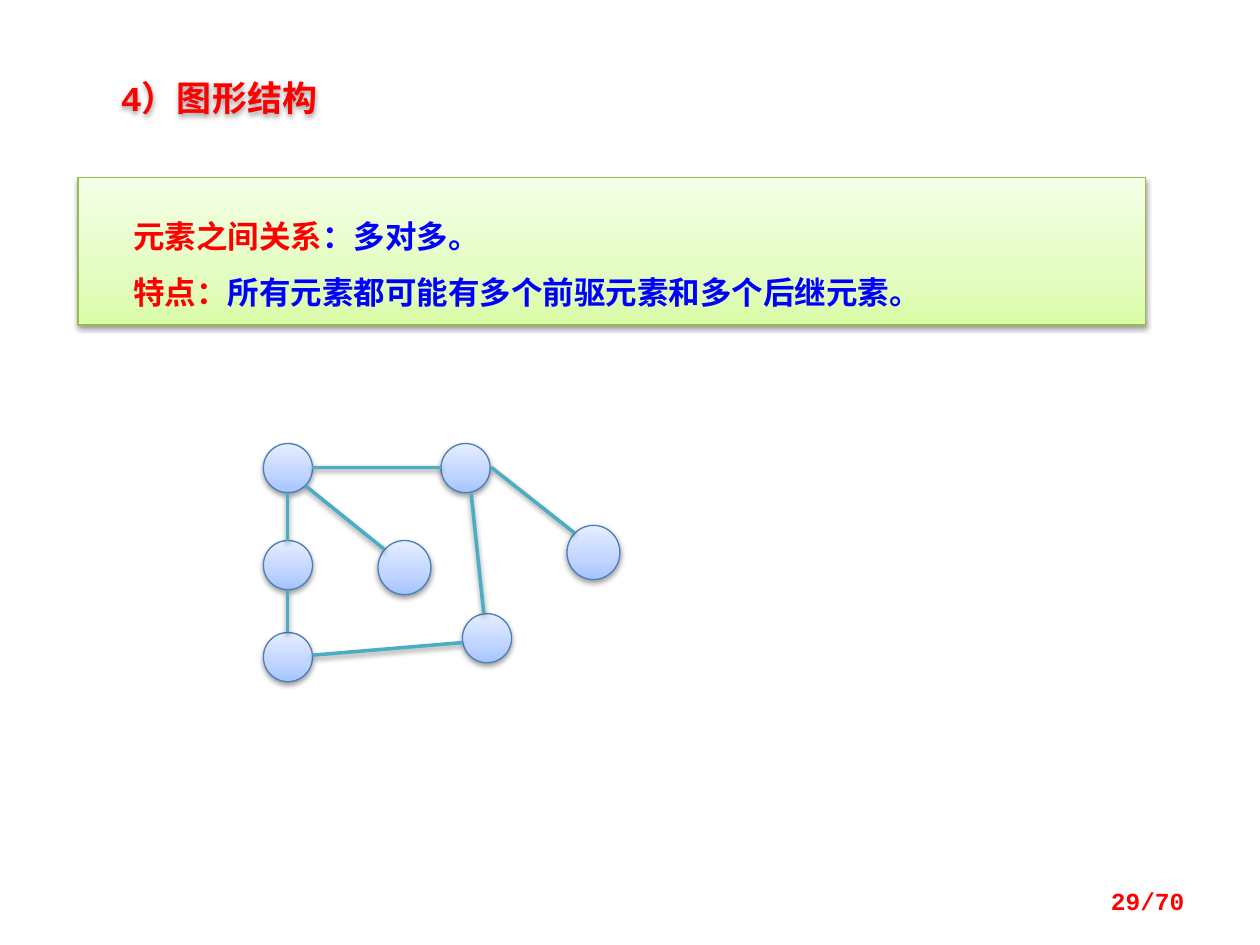
from copy import deepcopy

from lxml import etree
from pptx import Presentation
from pptx.dml.color import RGBColor
from pptx.enum.shapes import MSO_CONNECTOR, MSO_SHAPE
from pptx.enum.text import MSO_ANCHOR, MSO_AUTO_SIZE, PP_ALIGN
from pptx.oxml import parse_xml
from pptx.oxml.ns import nsdecls, qn
from pptx.util import Inches, Pt

RECTANGLE, OVAL = MSO_SHAPE.RECTANGLE, MSO_SHAPE.OVAL
STRAIGHT = MSO_CONNECTOR.STRAIGHT
TOP, MIDDLE = MSO_ANCHOR.TOP, MSO_ANCHOR.MIDDLE
LEFT, RIGHT, JUSTIFY = PP_ALIGN.LEFT, PP_ALIGN.RIGHT, PP_ALIGN.JUSTIFY
FIXED_SIZE = MSO_AUTO_SIZE.NONE

RED = RGBColor(0xFF, 0x00, 0x00)
BLUE = RGBColor(0x00, 0x00, 0xFF)
TEAL = RGBColor(0x4B, 0xAC, 0xC6)
PANEL_LINE = RGBColor(0x98, 0xB9, 0x55)
NODE_LINE = RGBColor(0x4B, 0x7E, 0xBC)
PANEL_FILL = (RGBColor(0xDA, 0xFD, 0xA7), RGBColor(0xE4, 0xFC, 0xC2), RGBColor(0xF5, 0xFF, 0xE7))
NODE_FILL = (RGBColor(0xA4, 0xC4, 0xFF), RGBColor(0xBF, 0xD4, 0xFF), RGBColor(0xE6, 0xEE, 0xFF))
STOPS = (0, 0.35, 1)

LATIN_FONT = "Courier New"
CHINESE_FONT = "Noto Sans CJK SC"

SHADOW = (
    f'<a:effectLst {nsdecls("a")}><a:outerShdw blurRad="40000" dist="20000" dir="5400000" '
    'rotWithShape="0"><a:srgbClr val="000000"><a:alpha val="38000"/></a:srgbClr>'
    "</a:outerShdw></a:effectLst>"
)

NODE_SIZE = (0.39, 0.39)
LARGE_NODE_SIZE = (0.42, 0.43)
COLUMN_LEFT = 2.09
NODES = [(COLUMN_LEFT, top, NODE_SIZE) for top in (3.52, 4.29, 5.02)] + [
    (3.5, 3.52, NODE_SIZE),
    (3.67, 4.87, NODE_SIZE),
    (3, 4.29, LARGE_NODE_SIZE),
    (4.5, 4.17, LARGE_NODE_SIZE),
]
EDGES = [
    ((2.43, 3.86), (3.05, 4.36)),
    ((2.48, 5.2), (3.67, 5.1)),
    ((3.74, 3.92), (3.84, 4.87)),
    ((2.28, 3.91), (2.28, 4.29)),
    ((2.28, 4.68), (2.28, 5.02)),
    ((3.9, 3.71), (4.56, 4.23)),
    ((2.48, 3.71), (3.5, 3.71)),
]
FACTS = [
    ("元素之间关系", "：多对多。"),
    ("特点：", "所有元素都可能有多个前驱元素和多个后继元素。"),
]


class GraphPage:
    """Holds the style and the current slide."""

    def __init__(self, deck):
        self.page = deck.slides.add_slide(deck.slide_layouts[5])

    def shade(self, element):
        element._element.spPr.append(parse_xml(SHADOW))

    def span(self, para, text, size, color):
        span = para.add_run()
        span.text = text
        span.font.size = Pt(size)
        span.font.bold = True
        span.font.name = LATIN_FONT
        span.font.color.rgb = color
        latin = span._r.rPr.find(qn("a:latin"))
        east_asian = etree.Element(qn("a:ea"), typeface=CHINESE_FONT)
        latin.addnext(east_asian)

    def title(self, text, left, top, width, height):
        box = self.page.shapes.title
        box.left, box.top = Inches(left), Inches(top)
        box.width, box.height = Inches(width), Inches(height)
        self.shade(box)
        frame = box.text_frame
        frame.auto_size = FIXED_SIZE
        frame.vertical_anchor = TOP
        para = frame.paragraphs[0]
        para.alignment = LEFT
        para.line_spacing = 0.8
        para.space_before = Pt(0)
        self.span(para, text, 20, RED)

    def shape(self, kind, left, top, width, height, colors, outline):
        shape = self.page.shapes.add_shape(
            kind, Inches(left), Inches(top), Inches(width), Inches(height)
        )
        shape.fill.gradient()
        shape.fill.gradient_angle = 90
        first_stop = shape._element.spPr.find(f".//{qn('a:gs')}")
        first_stop.addnext(deepcopy(first_stop))
        for stop, position, color in zip(shape.fill.gradient_stops, STOPS, colors):
            stop.position = position
            stop.color.rgb = color
        shape.line.color.rgb = outline
        shape.line.width = Pt(0.75)
        self.shade(shape)
        return shape

    def panel(self, facts, left, top, width, height):
        panel = self.shape(RECTANGLE, left, top, width, height, PANEL_FILL, PANEL_LINE)
        frame = panel.text_frame
        frame.word_wrap = True
        frame.vertical_anchor = TOP
        frame.margin_top = frame.margin_bottom = Inches(0.16)
        for index, (label, detail) in enumerate(facts):
            para = frame.add_paragraph() if index else frame.paragraphs[0]
            para.alignment = JUSTIFY
            para.line_spacing = 1.5
            para._p.get_or_add_pPr().set("indent", str(Inches(0.34)))
            self.span(para, label, 18, RED)
            self.span(para, detail, 18, BLUE)

    def node(self, left, top, size):
        self.shape(OVAL, left, top, *size, NODE_FILL, NODE_LINE)

    def edge(self, start, end):
        edge = self.page.shapes.add_connector(
            STRAIGHT, *(Inches(value) for value in (*start, *end))
        )
        edge.line.color.rgb = TEAL
        edge.line.width = Pt(2)
        self.shade(edge)

    def page_number(self, text, left, top, width, height):
        box = self.page.shapes.add_textbox(
            Inches(left), Inches(top), Inches(width), Inches(height)
        )
        frame = box.text_frame
        frame.word_wrap = True
        frame.vertical_anchor = MIDDLE
        para = frame.paragraphs[0]
        para.alignment = RIGHT
        self.span(para, text, 14, RED)


def main():
    deck = Presentation()
    deck.slide_width, deck.slide_height = Inches(10), Inches(7.5)
    page = GraphPage(deck)
    page.title("4）图形结构", 0.86, 0.62, 2.03, 0.37)
    page.panel(FACTS, 0.62, 1.41, 8.47, 1.17)
    for node in NODES:
        page.node(*node)
    for edge in EDGES:
        page.edge(*edge)
    page.page_number("29/70", 7.17, 6.95, 2.33, 0.4)
    deck.save("out.pptx")


if __name__ == "__main__":
    main()
